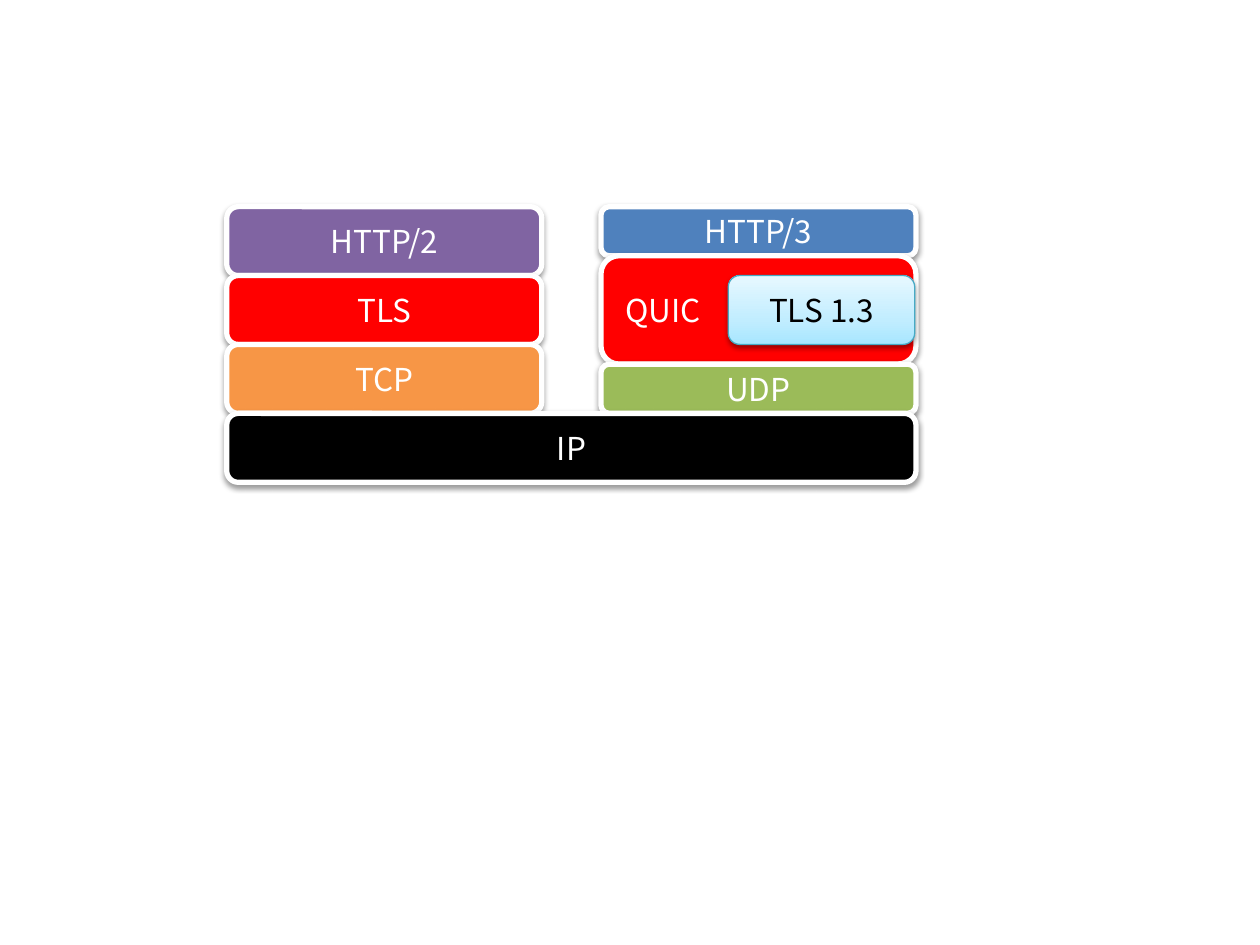
from copy import deepcopy
from lxml.etree import SubElement
from pptx import Presentation
from pptx.dml.color import RGBColor
from pptx.enum.shapes import MSO_SHAPE
from pptx.enum.text import MSO_ANCHOR, PP_ALIGN
from pptx.oxml.ns import qn
from pptx.util import Inches, Pt

HUES = {
    "white": "FFFFFF", "black": "000000", "red": "FF0000",
    "blue": "4F81BD", "purple": "8064A2", "orange": "F79646",
    "green": "9BBB59", "teal": "46AAC5",
    "deep": "A7E6FF", "mid": "C1EDFF", "pale": "E7F8FF",
}
FONT = {"name": "Noto Sans CJK KR", "size": Pt(18)}
TALL, LOW, QUIC = 0.547, 0.39, 0.86


def hue(name):
    return RGBColor.from_string(HUES[name])


def assign(item, values):
    for key, value in values.items():
        setattr(item, key, value)


def shade(shape):
    effects = SubElement(shape._element.spPr, qn("a:effectLst"))
    shadow = SubElement(effects, qn("a:outerShdw"), blurRad=str(Pt(3.1)),
                        dist=str(Pt(1.6)), dir="5400000", rotWithShape="0")
    color = SubElement(shadow, qn("a:srgbClr"), val=HUES["black"])
    SubElement(color, qn("a:alpha"), val="38000")


def blend(fill, names, spots):
    fill.gradient()
    fill.gradient_angle = 90
    stops = fill._xPr.find(qn("a:gradFill")).find(qn("a:gsLst"))
    stops.insert(1, deepcopy(stops[0]))
    for stop, name, spot in zip(fill.gradient_stops, names, spots):
        stop.color.rgb = hue(name)
        stop.position = spot


def block(slide, box, text, fill, ink="white", edge="white", width=3,
          align=PP_ALIGN.CENTER, left=0.1):
    shape = slide.shapes.add_shape(MSO_SHAPE.ROUNDED_RECTANGLE,
                                   *(Inches(n) for n in box))
    if isinstance(fill, tuple):
        blend(shape.fill, fill, (0, 0.35, 1))
    else:
        shape.fill.solid()
        shape.fill.fore_color.rgb = hue(fill)
    shape.line.color.rgb = hue(edge)
    shape.line.width = Pt(width)
    shade(shape)
    frame = shape.text_frame
    assign(frame, {"word_wrap": True, "vertical_anchor": MSO_ANCHOR.MIDDLE,
                   "margin_left": Inches(left)})
    para = frame.paragraphs[0]
    para.alignment = align
    run = para.add_run()
    run.text = text
    assign(run.font, FONT)
    run.font.color.rgb = hue(ink)


def stack(slide, left, top, width, layers):
    for text, fill, height, extra in layers:
        block(slide, (left, top, width, height), text, fill, **extra)
        top += height


def model(slide, left, top, width):
    column = 2.5
    right = left + width - column
    stack(slide, left, top, column, [
        ("HTTP/2", "purple", TALL, {}),
        ("TLS", "red", TALL, {}),
        ("TCP", "orange", TALL, {}),
    ])
    stack(slide, right, top, column, [
        ("HTTP/3", "blue", LOW, {}),
        ("QUIC", "red", QUIC, {"align": PP_ALIGN.LEFT, "left": 0.15}),
        ("UDP", "green", LOW, {}),
    ])
    block(slide, (left, top + 3 * TALL, width, TALL), "IP", "black")
    inner = top + LOW + (QUIC - TALL) / 2
    block(slide, (right + 1.01, inner, 1.48, TALL), "TLS 1.3",
          ("deep", "mid", "pale"), ink="black", edge="teal", width=0.75)


deck = Presentation()
assign(deck, {"slide_width": Inches(10), "slide_height": Inches(7.5)})
page = deck.slides.add_slide(deck.slide_layouts[6])
model(page, 1.8, 1.64, 5.47)
deck.save("out.pptx")
